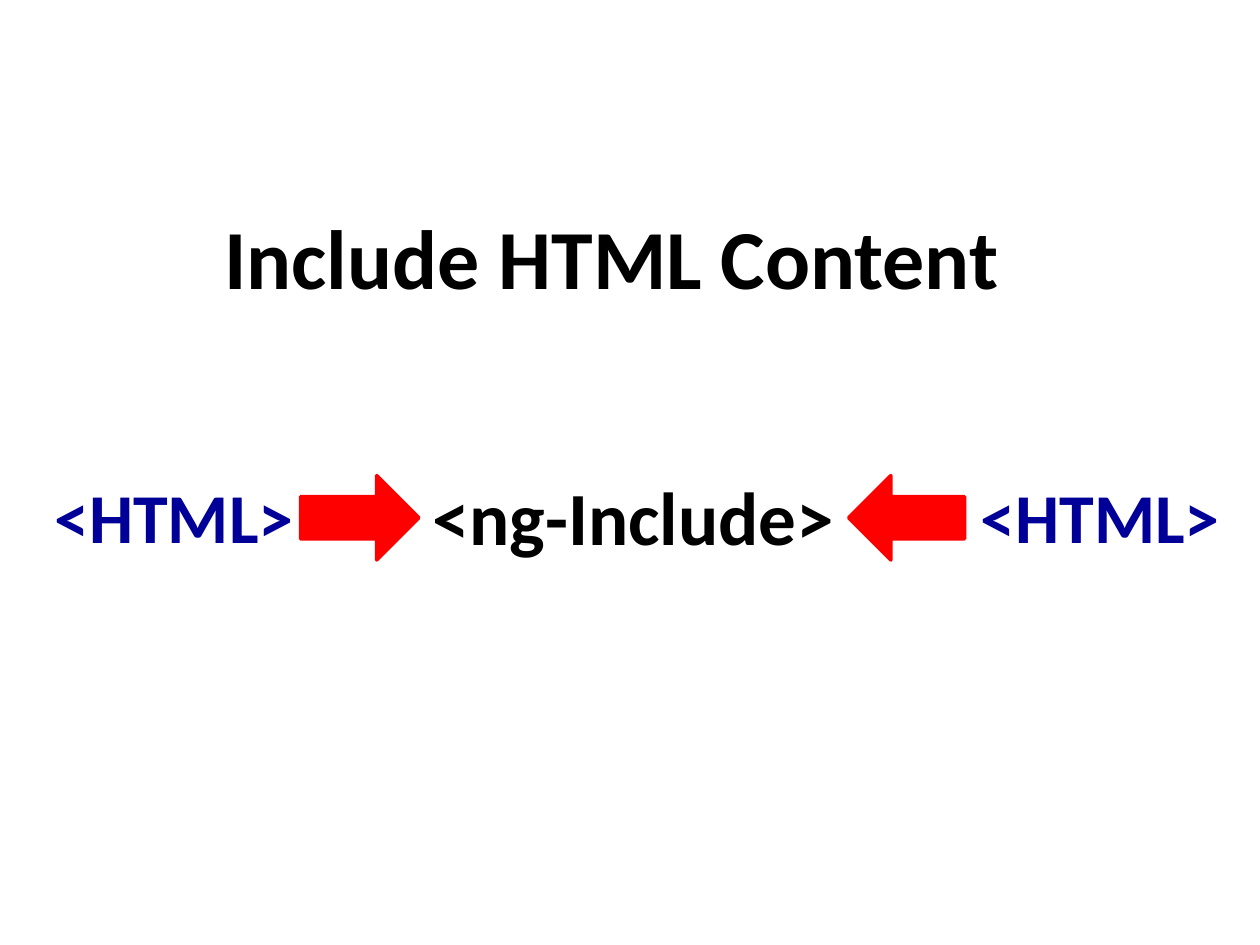
from pptx import Presentation
from pptx.dml.color import RGBColor
from pptx.enum.shapes import MSO_SHAPE
from pptx.enum.text import MSO_ANCHOR, MSO_AUTO_SIZE, PP_ALIGN
from pptx.util import Inches, Pt

DOWN = MSO_SHAPE.DOWN_ARROW
TOP, MID = MSO_ANCHOR.TOP, MSO_ANCHOR.MIDDLE
GROW, FIXED = MSO_AUTO_SIZE.SHAPE_TO_FIT_TEXT, MSO_AUTO_SIZE.NONE
CENTER = PP_ALIGN.CENTER
HUES = {name: RGBColor.from_string(code) for name, code in {
    "ink": "000000", "tag": "000099", "arrow": "FF0000"}.items()}

deck = Presentation()
deck.slide_width, deck.slide_height = Inches(10), Inches(7.5)
slide = deck.slides.add_slide(deck.slide_layouts[6])


def place(left, top, wide, high):
    col, row = deck.slide_width / 100, deck.slide_height / 100
    return [round(n) for n in (left * col, top * row, wide * col, high * row)]


labels = [
    ("<ng-Include>", (30.4, 46.8, 39.7, 15.6), 42.9, "ink", MID, FIXED),
    ("<HTML>", (-0.1, 49.47, 27.8, 10.27), 40, "tag", TOP, GROW),
    ("<HTML>", (73.4, 49.47, 27.8, 10.27), 40, "tag", TOP, GROW),
    ("Include HTML Content", (15, 21.07, 67.1, 12.13), 48, "ink", TOP, GROW),
]
for text, area, size, hue, anchor, fit in labels:
    frame = slide.shapes.add_textbox(*place(*area)).text_frame
    look = {"word_wrap": True, "auto_size": fit, "vertical_anchor": anchor}
    for key, value in look.items():
        setattr(frame, key, value)
    line = frame.paragraphs[0]
    line.alignment = CENTER
    run = line.add_run()
    run.text = text
    style = {"name": "Calibri", "size": Pt(size), "bold": True}
    for key, value in style.items():
        setattr(run.font, key, value)
    run.font.color.rgb = HUES[hue]

arrows = [
    ((25.2, 48.53, 6.7, 12.53), 270),
    ((68.6, 48.67, 6.7, 12.27), 90),
]
for area, turn in arrows:
    arrow = slide.shapes.add_shape(DOWN, *place(*area))
    arrow.rotation = turn
    arrow.shadow.inherit = False
    arrow.line.width = Pt(2)
    for fill in (arrow.fill, arrow.line.fill):
        fill.solid()
        fill.fore_color.rgb = HUES["arrow"]

deck.save("out.pptx")
